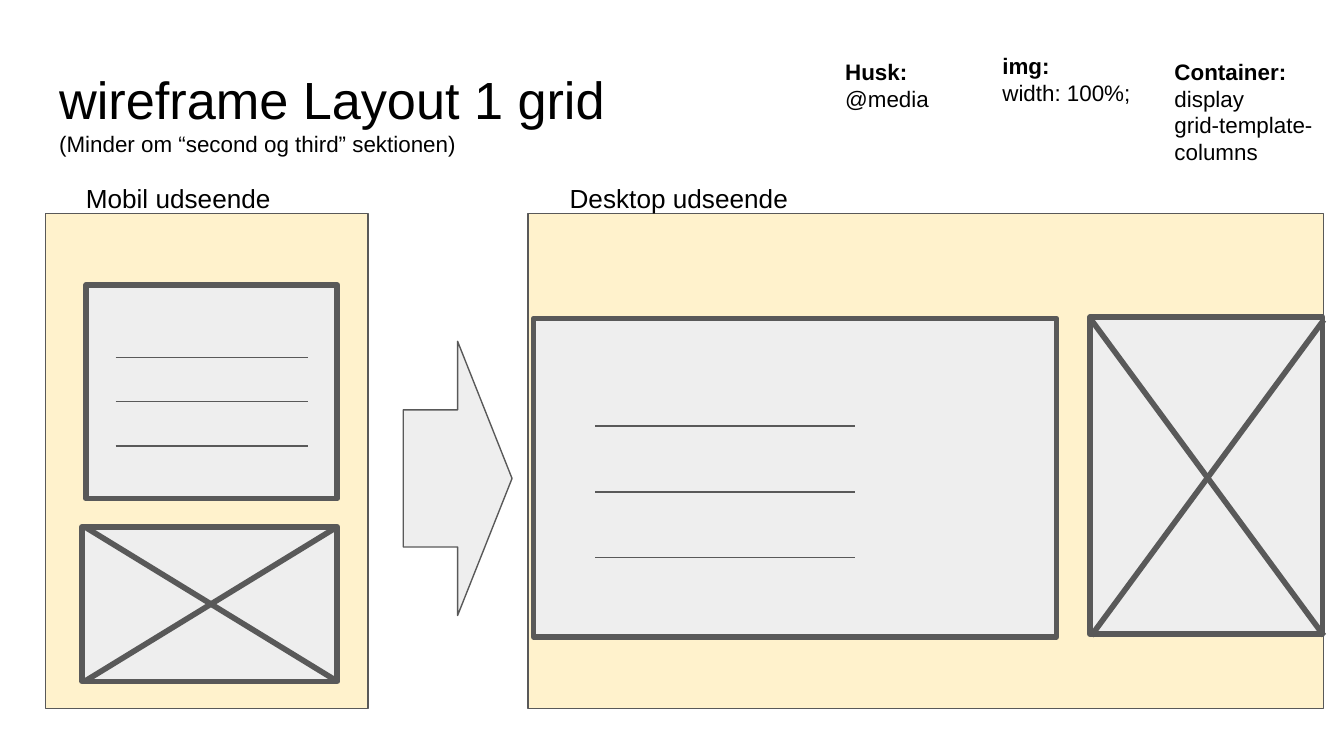
from dataclasses import dataclass

from pptx import Presentation
from pptx.dml.color import RGBColor
from pptx.enum.shapes import MSO_CONNECTOR, MSO_SHAPE
from pptx.enum.text import MSO_ANCHOR, MSO_AUTO_SIZE, PP_ALIGN
from pptx.oxml.ns import qn
from pptx.util import Inches, Pt

RECTANGLE, ARROW = MSO_SHAPE.RECTANGLE, MSO_SHAPE.RIGHT_ARROW
STRAIGHT = MSO_CONNECTOR.STRAIGHT
TOP, LEFT = MSO_ANCHOR.TOP, PP_ALIGN.LEFT
NO_AUTOFIT = MSO_AUTO_SIZE.NONE


@dataclass(frozen=True)
class Theme:
    """Colours, type sizes and line widths."""
    font: str = "Arial"
    text: str = "000000"
    screen: str = "FFF2CC"
    block: str = "EEEEEE"
    line: str = "595959"
    title: int = 28
    label: int = 14
    note: int = 12
    thin: float = 0.75
    thick: float = 3


THEME = Theme()

# Paragraphs are (text, size, bold); boxes are left, top, width, height.
TITLE_BOX = (0.34, 0.4, 9.32, 0.63)
TITLE = [("wireframe Layout 1 grid", THEME.title, False),
         ("(Minder om “second og third” sektionen)", THEME.note, False)]
NOTE_SIZE = (1.49, 1.09)
NOTES = [
    (8.64, 0.33, "Container:", ["display", "grid-template-columns"]),
    (7.36, 0.29, "img:", ["width: 100%;"]),
    (6.19, 0.33, "Husk:", ["@media"]),
]
ARROW_BOX = (3, 2.54, 0.81, 2.04)
# Text rules are left, right, first top, gap; a cross is left, top, right, bottom.
RULE_COUNT = 3
SCREENS = [
    {"label": "Mobil udseende", "label_box": (0.54, 1.26, 3.27, 0.47),
     "screen": (0.34, 1.59, 2.4, 3.68),
     "text_block": (0.64, 2.12, 1.87, 1.59), "rules": (0.86, 2.29, 2.66, 0.33),
     "image_block": (0.61, 3.92, 1.9, 1.15), "cross": (0.63, 3.92, 2.51, 5.07)},
    {"label": "Desktop udseende", "label_box": (4.14, 1.26, 3.27, 0.47),
     "screen": (3.93, 1.59, 5.92, 3.68),
     "text_block": (3.97, 2.37, 3.89, 2.37), "rules": (4.43, 6.36, 3.17, 0.49),
     "image_block": (8.11, 2.36, 1.73, 2.36), "cross": (8.12, 2.38, 9.85, 4.73)},
]


def inches(values):
    """Convert plain numbers to lengths."""
    return [Inches(value) for value in values]


def write(box, paragraphs):
    """Fill a text box or placeholder with formatted paragraphs."""
    frame = box.text_frame
    frame.word_wrap = True
    frame.auto_size = NO_AUTOFIT
    frame.vertical_anchor = TOP
    frame.margin_left = frame.margin_right = Inches(0.1)
    frame.margin_top = frame.margin_bottom = Inches(0.1)
    frame.text = "\n".join(text for text, _, _ in paragraphs)
    for para, (_, size, bold) in zip(frame.paragraphs, paragraphs):
        para.alignment = LEFT
        para.font.name = THEME.font
        para.font.size = Pt(size)
        para.font.bold = bold
        para.font.color.rgb = RGBColor.from_string(THEME.text)


def add_text(shapes, bounds, paragraphs):
    """Add a text box."""
    write(shapes.add_textbox(*inches(bounds)), paragraphs)


def set_line(item, width):
    """Give a shape or connector its outline."""
    item.line.color.rgb = RGBColor.from_string(THEME.line)
    item.line.width = Pt(width)


def add_block(shapes, kind, bounds, fill, width):
    """Add a filled, outlined shape."""
    block = shapes.add_shape(kind, *inches(bounds))
    block.shadow.inherit = False
    block.fill.solid()
    block.fill.fore_color.rgb = RGBColor.from_string(fill)
    set_line(block, width)


def add_line(shapes, ends, width):
    """Add a straight line without shadow."""
    line = shapes.add_connector(STRAIGHT, *inches(ends))
    set_line(line, width)
    properties = line._element.spPr
    properties.append(properties.makeelement(qn("a:effectLst"), {}))


def add_screen(page, screen):
    """Add one wireframe as a group: screen, text block, image block, label."""
    shapes = page.shapes.add_group_shape().shapes
    add_block(shapes, RECTANGLE, screen["screen"], THEME.screen, THEME.thin)
    add_block(shapes, RECTANGLE, screen["text_block"], THEME.block, THEME.thick)
    start, end, first, gap = screen["rules"]
    for index in range(RULE_COUNT):
        top = first + index * gap
        add_line(shapes, (start, top, end, top), THEME.thin)
    add_block(shapes, RECTANGLE, screen["image_block"], THEME.block, THEME.thick)
    left, top, right, bottom = screen["cross"]
    add_line(shapes, (left, top, right, bottom), THEME.thick)
    add_line(shapes, (left, bottom, right, top), THEME.thick)
    add_text(shapes, screen["label_box"], [(screen["label"], THEME.label, False)])


def build():
    """Build and save the deck."""
    deck = Presentation()
    deck.slide_width = Inches(10)
    deck.slide_height = Inches(10 * 9 / 16)
    page = deck.slides.add_slide(deck.slide_layouts[5])
    title = page.shapes.title
    title.left, title.top, title.width, title.height = inches(TITLE_BOX)
    write(title, TITLE)
    for screen in SCREENS:
        add_screen(page, screen)
    add_block(page.shapes, ARROW, ARROW_BOX, THEME.block, THEME.thin)
    for left, top, heading, lines in NOTES:
        paragraphs = [(heading, THEME.note, True)]
        paragraphs += [(line, THEME.note, False) for line in lines]
        add_text(page.shapes, (left, top, *NOTE_SIZE), paragraphs)
    deck.save("out.pptx")


build()
